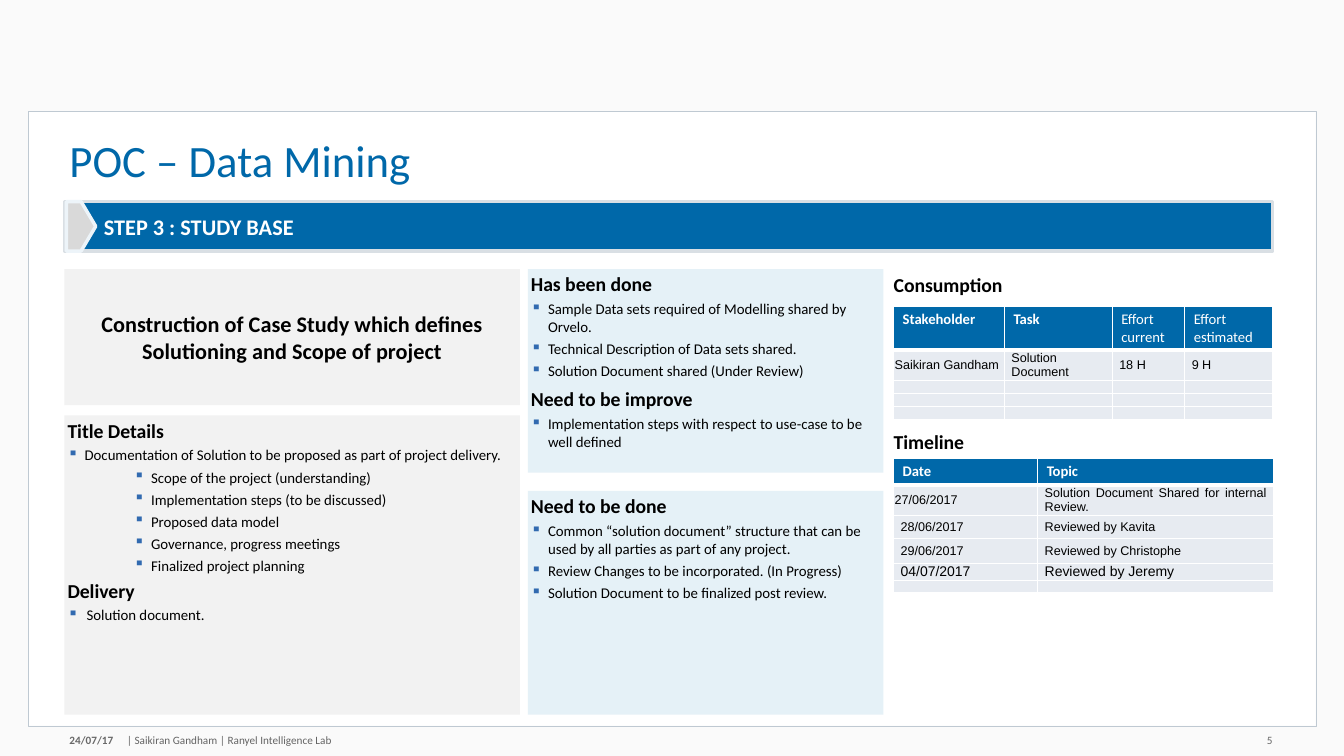
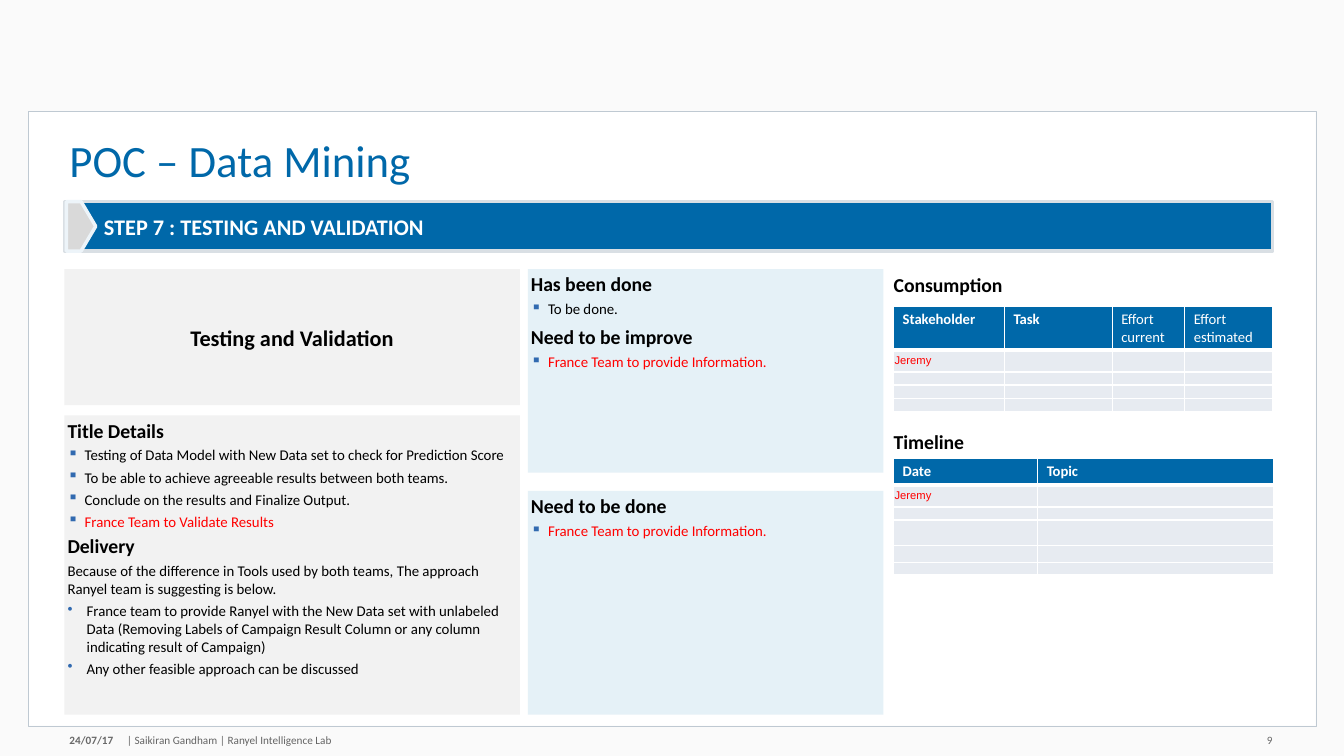
from collections import namedtuple

from lxml import etree
from pptx import Presentation
from pptx import util as u
from pptx.dml.color import RGBColor
from pptx.enum import shapes, text
from pptx.oxml.ns import qn

COLOURS = {
    "backdrop": "FAFAFA", "white": "FFFFFF", "frame": "BFC9D2",
    "blue": "0068A9", "ink": "000000", "red": "FF0000",
    "date": "686868", "footer": "646464", "bullet": "316AB0",
    "grey": "F2F2F2", "pale": "E5F1F7", "cell": "E7EBF1",
    "band_edge": "D9DFE4", "chevron": "D9D9D9", "chevron_edge": "EDF4F9",
}
WIDTH, HEIGHT = 13.34, 7.5
COLUMNS = {"left": (0.64, 4.52), "middle": (5.24, 3.53), "right": (8.87, 3.75)}
ROWS = {
    "band": (2, 0.49), "summary": (2.67, 1.35), "details": (4.12, 2.97),
    "done": (2.67, 2.02), "todo": (4.87, 2.22),
    "consumption": (2.7, 0.24), "efforts": (3.04, 1.1),
    "timeline": (4.26, 0.24), "dates": (4.55, 1.3),
}
EFFORT_WIDTHS = (1.1, 1.07, 0.72, 0.87)
DATE_WIDTHS = (1.43, 2.34)
EFFORT_HEADS = ("Stakeholder", "Task", "Effort current", "Effort estimated")
DATE_HEADS = ("Date", "Topic")

Style = namedtuple("Style", "size bold before indent bullet")
STYLES = {
    "head": Style(14.1, True, 5.3, 0, None),
    "subhead": Style(14.1, True, 3, 0, None),
    "plain": Style(10.6, False, 3, 0, None),
    "item": Style(10.6, False, 3, 0.17, "▪"),
    "nested": Style(10.6, False, 3, 0.83, "▪"),
    "delivery": Style(10.6, False, 3, 0.19, "▪"),
    "dot": Style(10.6, False, 3, 0.19, "•"),
}
Line = namedtuple("Line", "style words colour", defaults=("ink",))
Row = namedtuple("Row", "height words size colour", defaults=((), 9, "ink"))
Step = namedtuple("Step", "number band summary details done todo efforts dates")

STUDY = Step(
    "5", "STEP 3 : STUDY BASE",
    "Construction of Case Study which defines Solutioning and Scope of project",
    [
        Line("head", "Title Details"),
        Line("item", "Documentation of Solution to be proposed as part of project delivery."),
        Line("nested", "Scope of the project (understanding)"),
        Line("nested", "Implementation steps (to be discussed)"),
        Line("nested", "Proposed data model"),
        Line("nested", "Governance, progress meetings"),
        Line("nested", "Finalized project planning"),
        Line("subhead", "Delivery"),
        Line("delivery", "Solution document."),
    ],
    [
        Line("head", "Has been done"),
        Line("item", "Sample Data sets required of Modelling shared by Orvelo."),
        Line("item", "Technical Description of Data sets shared."),
        Line("item", "Solution Document shared (Under Review)"),
        Line("head", "Need to be improve"),
        Line("item", "Implementation steps with respect to use-case to be well defined"),
    ],
    [
        Line("head", "Need to be done"),
        Line("item", "Common “solution document” structure that can be used by all "
                     "parties as part of any project."),
        Line("item", "Review Changes to be incorporated. (In Progress)"),
        Line("item", "Solution Document to be finalized post review."),
    ],
    [Row(0.28, ("Saikiran Gandham", "Solution Document", "18 H", "9 H"))] + [Row(0.13)] * 3,
    [
        Row(0.28, ("27/06/2017", "Solution Document Shared for internal Review.")),
        Row(0.23, ("28/06/2017", "Reviewed by Kavita")),
        Row(0.25, ("29/06/2017", "Reviewed by Christophe")),
        Row(0.17, ("04/07/2017", "Reviewed by Jeremy"), 10),
        Row(0.12),
    ],
)
JEREMY = Row(0.22, ("Jeremy",), 8, "red")
FRANCE = Line("item", "France Team to provide Information.", "red")
TESTING = Step(
    "9", "STEP 7 : TESTING AND VALIDATION", "Testing and Validation",
    [
        Line("head", "Title Details"),
        Line("item", "Testing of Data Model with New Data set to check for Prediction Score"),
        Line("item", "To be able to achieve agreeable results between both teams."),
        Line("item", "Conclude on the results and Finalize Output."),
        Line("item", "France Team to Validate Results", "red"),
        Line("subhead", "Delivery"),
        Line("plain", "Because of the difference in Tools used by both teams, The approach "
                      "Ranyel team is suggesting is below."),
        Line("dot", "France team to provide Ranyel with the New Data set with unlabeled "
                    "Data (Removing Labels of Campaign Result Column or any column "
                    "indicating result of Campaign)"),
        Line("dot", "Any other feasible approach can be discussed"),
    ],
    [
        Line("head", "Has been done"),
        Line("item", "To be done."),
        Line("head", "Need to be improve"),
        FRANCE,
    ],
    [Line("head", "Need to be done"), FRANCE],
    [JEREMY] + [Row(0.13)] * 3,
    [JEREMY, Row(0.13), Row(0.25), Row(0.17), Row(0.12)],
)


def colour(name):
    return RGBColor.from_string(COLOURS[name])


def inches(*lengths):
    return [u.Inches(length) for length in lengths]


def place(column, row):
    (left, width), (top, height) = COLUMNS[column], ROWS[row]
    return left, top, width, height


def set_font(paragraph, size, ink="ink", bold=False, face="Calibri"):
    font = paragraph.font
    font.name, font.size, font.bold = face, u.Pt(size), bold
    font.color.rgb = colour(ink)


def set_insets(holder, left, top, right, bottom):
    holder.margin_left, holder.margin_top = inches(left, top)
    holder.margin_right, holder.margin_bottom = inches(right, bottom)


def set_indent(paragraph, indent, hanging=0):
    properties = paragraph._p.get_or_add_pPr()
    properties.set("marL", str(u.Inches(indent)))
    properties.set("indent", str(-u.Inches(hanging)))
    return properties


def add_bullet(paragraph, style):
    properties = set_indent(paragraph, style.indent, min(style.indent, 0.17)
                            if style.bullet == "▪" and style.indent != 0.19 else style.indent)
    tint = etree.SubElement(properties, qn("a:buClr"))
    etree.SubElement(tint, qn("a:srgbClr"), val=COLOURS["bullet"])
    etree.SubElement(properties, qn("a:buChar"), char=style.bullet)


def add_label(slide, at, words, size, ink="ink", bold=False,
              align=text.PP_ALIGN.LEFT, anchor=text.MSO_ANCHOR.MIDDLE):
    frame = slide.shapes.add_textbox(*inches(*at)).text_frame
    frame.word_wrap = True
    frame.vertical_anchor = anchor
    set_insets(frame, 0, 0, 0, 0)
    paragraph = frame.paragraphs[0]
    paragraph.text, paragraph.alignment = words, align
    set_font(paragraph, size, ink, bold)
    return paragraph


def add_block(slide, at, fill, edge=None, weight=0, kind=shapes.MSO_SHAPE.RECTANGLE):
    block = slide.shapes.add_shape(kind, *inches(*at))
    block.shadow.inherit = False
    block.fill.solid()
    block.fill.fore_color.rgb = colour(fill)
    if edge:
        block.line.color.rgb = colour(edge)
        block.line.width = u.Pt(weight)
    else:
        block.line.fill.background()
    frame = block.text_frame
    frame.word_wrap = True
    set_insets(frame, 0.03, 0.03, 0.03, 0.03)
    return frame


def add_heading(frame, words, ink, align):
    frame.vertical_anchor = text.MSO_ANCHOR.MIDDLE
    paragraph = frame.paragraphs[0]
    paragraph.text, paragraph.alignment = words, align
    set_font(paragraph, 15.9, ink, True)
    return paragraph


def add_panel(slide, at, fill, lines):
    frame = add_block(slide, at, fill)
    frame.vertical_anchor = text.MSO_ANCHOR.TOP
    for index, line in enumerate(lines):
        style = STYLES[line.style]
        paragraph = frame.add_paragraph() if index else frame.paragraphs[0]
        paragraph.text = line.words
        paragraph.alignment = text.PP_ALIGN.LEFT
        if style.bullet:
            add_bullet(paragraph, style)
        if index:
            paragraph.space_before = u.Pt(style.before)
        set_font(paragraph, style.size, line.colour, style.bold)


def add_borders(cell, top, bottom):
    properties = cell._tc.get_or_add_tcPr()
    for side, weight in (("L", 1), ("R", 1), ("T", top), ("B", bottom)):
        border = etree.SubElement(properties, qn(f"a:ln{side}"), w=str(u.Pt(weight)))
        fill = etree.SubElement(border, qn("a:solidFill"))
        etree.SubElement(fill, qn("a:srgbClr"), val=COLOURS["white"])


def fill_cell(cell, row_index, column_index, row):
    header = row_index == 0
    add_borders(cell, 3 if row_index == 1 else 1, 3 if header else 1)
    cell.fill.solid()
    cell.fill.fore_color.rgb = colour("blue" if header else "cell")
    paragraph = cell.text_frame.paragraphs[0]
    if column_index >= len(row.words):
        set_insets(cell, 0, 0, 0, 0)
        etree.SubElement(paragraph._p, qn("a:endParaRPr"), sz="400")
        return
    paragraph.text = row.words[column_index]
    if header:
        set_insets(cell, 0.09, 0.04, 0.09, 0.04)
        set_font(paragraph, row.size, row.colour, column_index < 2)
    else:
        side = 0.01 if (row_index, column_index) == (1, 0) else 0.07
        set_insets(cell, side, 0, side, 0)
        cell.vertical_anchor = text.MSO_ANCHOR.MIDDLE
        paragraph.alignment = text.PP_ALIGN.JUSTIFY
        set_font(paragraph, row.size, row.colour, face="Arial")


def add_grid(slide, at, widths, header, body):
    rows = [header, *body]
    table = slide.shapes.add_table(len(rows), len(widths), *inches(*at)).table
    table.first_row = table.horz_banding = False
    for column, width in zip(table.columns, widths):
        column.width = u.Inches(width)
    for row_index, row in enumerate(rows):
        table.rows[row_index].height = u.Inches(row.height)
        for column_index in range(len(widths)):
            fill_cell(table.cell(row_index, column_index), row_index, column_index, row)


def add_frame(slide, number):
    slide.background.fill.solid()
    slide.background.fill.fore_color.rgb = colour("backdrop")
    add_block(slide, (0.28, 1.1, 12.78, 6.1), "white", "frame", 0.25)
    title = add_label(slide, (0.69, 1.38, 12.36, 0.48), "POC – Data Mining", 32, "blue",
                      anchor=text.MSO_ANCHOR.TOP)
    title.line_spacing = 0.9
    add_label(slide, (0.69, 7.28, 0.56, 0.13), "24/07/17", 8, "date", True)
    add_label(slide, (1.26, 7.28, 4.67, 0.13),
              "| Saikiran Gandham | Ranyel Intelligence Lab", 8, "footer")
    add_label(slide, (11.84, 7.28, 0.79, 0.13), number, 8, "date",
              align=text.PP_ALIGN.RIGHT)


def add_band(slide, words):
    left, (top, height) = COLUMNS["left"][0], ROWS["band"]
    band = add_block(slide, (left, top, 11.99, height), "blue", "band_edge", 2.5)
    set_indent(add_heading(band, words, "white", text.PP_ALIGN.LEFT), 0.36)
    add_block(slide, (left + 0.02, top, 0.29, height), "chevron", "chevron_edge", 2.5,
              shapes.MSO_SHAPE.PENTAGON)


def add_step(deck, step):
    slide = deck.slides.add_slide(deck.slide_layouts[6])
    add_frame(slide, step.number)
    add_band(slide, step.band)
    summary = add_block(slide, place("left", "summary"), "grey")
    add_heading(summary, step.summary, "ink", text.PP_ALIGN.CENTER)
    add_panel(slide, place("left", "details"), "grey", step.details)
    add_panel(slide, place("middle", "done"), "pale", step.done)
    add_panel(slide, place("middle", "todo"), "pale", step.todo)
    for name in ("Consumption", "Timeline"):
        add_label(slide, place("right", name.lower()), name, 14.1, bold=True)
    add_grid(slide, place("right", "efforts"), EFFORT_WIDTHS,
             Row(0.43, EFFORT_HEADS, 10.5, "white"), step.efforts)
    add_grid(slide, place("right", "dates"), DATE_WIDTHS,
             Row(0.26, DATE_HEADS, 10.5, "white"), step.dates)


def main():
    deck = Presentation()
    deck.slide_width, deck.slide_height = inches(WIDTH, HEIGHT)
    for step in (STUDY, TESTING):
        add_step(deck, step)
    deck.save("out.pptx")


if __name__ == "__main__":
    main()
